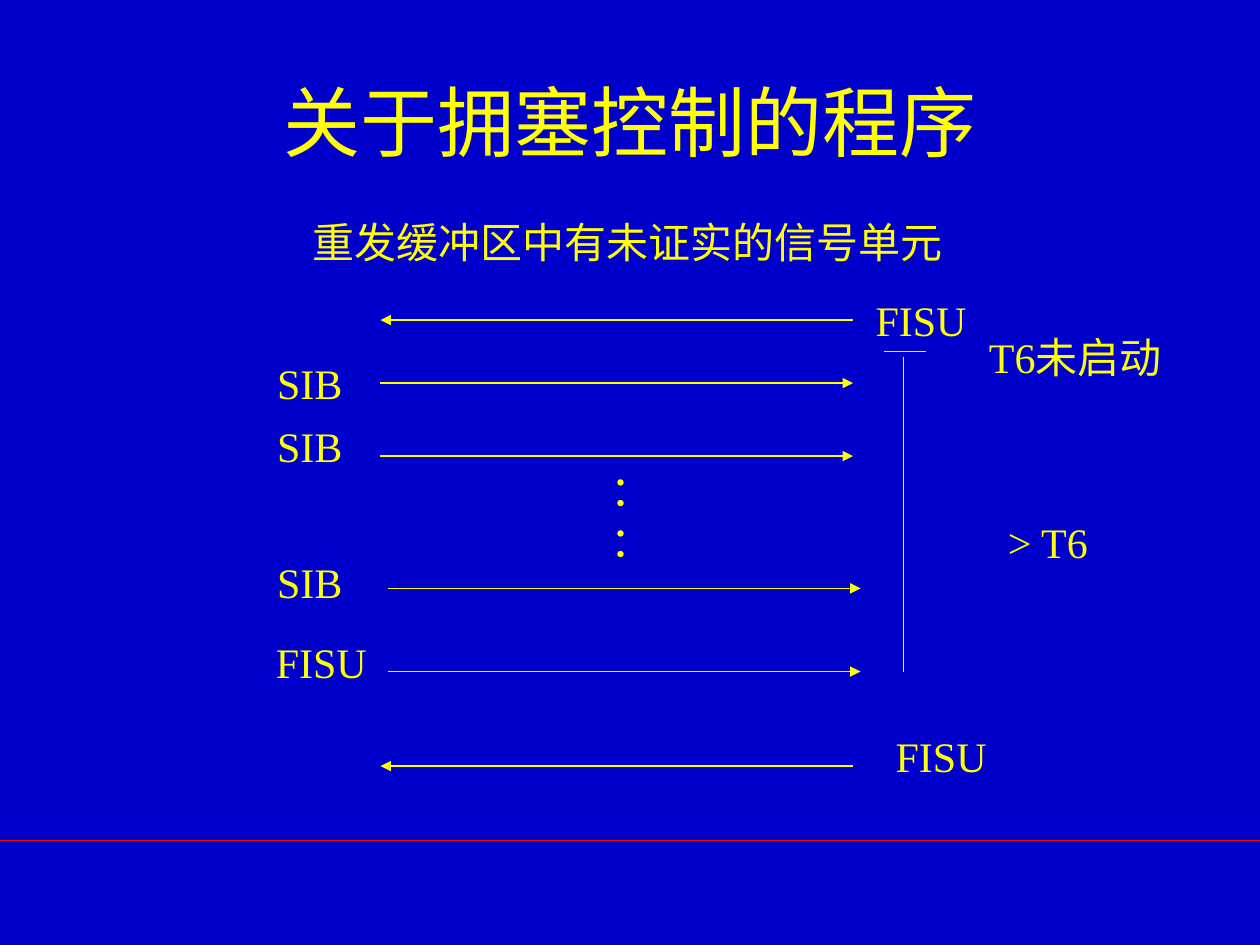
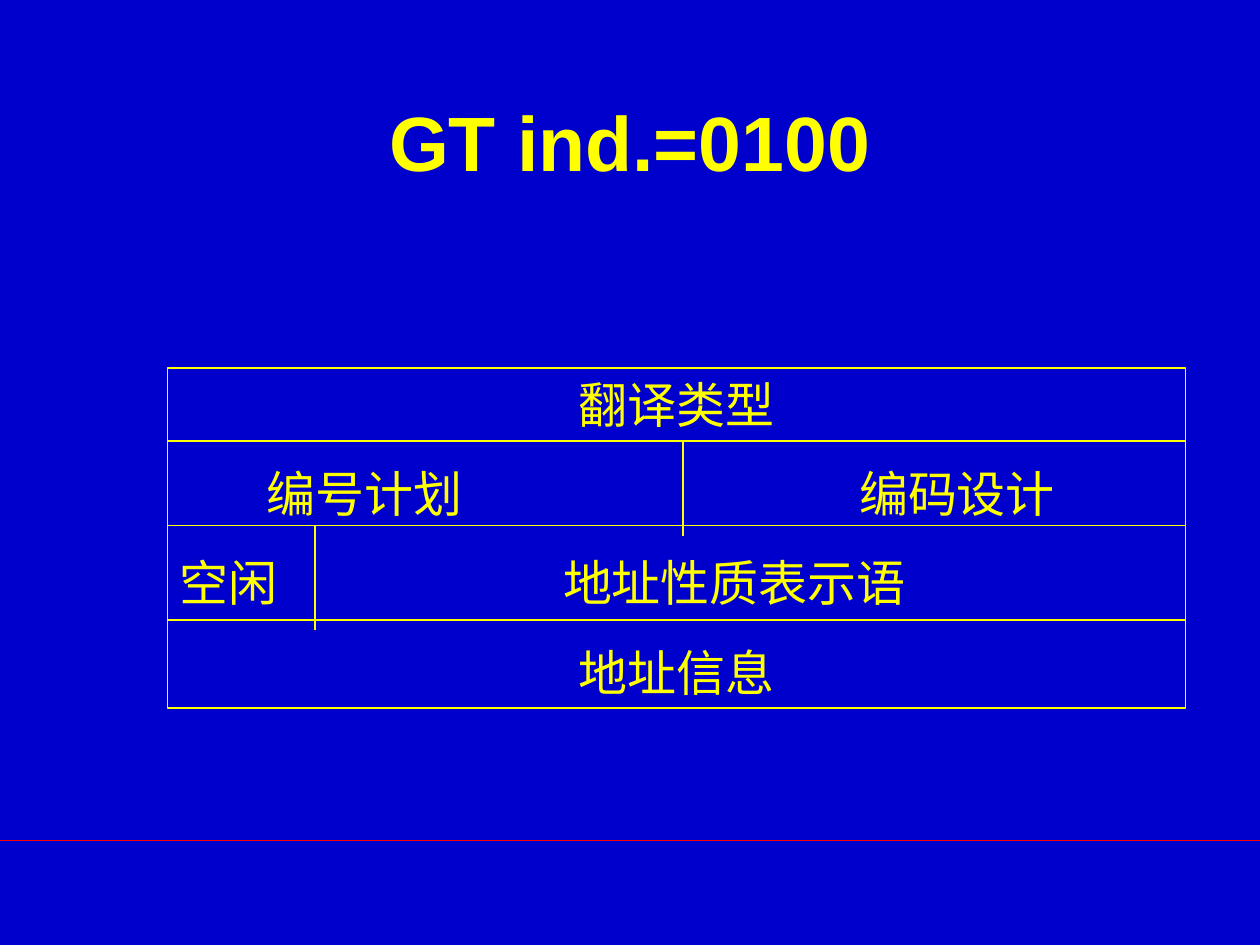
from lxml.etree import SubElement
from pptx import Presentation
from pptx.dml.color import RGBColor
from pptx.enum.shapes import MSO_CONNECTOR as CONNECTOR, MSO_SHAPE as SHAPE
from pptx.enum.text import MSO_ANCHOR as ANCHOR, MSO_AUTO_SIZE as AUTO_SIZE, PP_ALIGN as ALIGN
from pptx.oxml.ns import qn
from pptx.util import Inches, Pt

COLOURS = {"background": "0000CC", "ink": "FFFF00", "rule": "FF0000"}
TITLE_FONT, BODY_FONT = "Arial", "Times New Roman"
SLIDE_WIDTH, SLIDE_HEIGHT = 10, 7.5
RULE_TOP = 6.67
TITLE_ONLY = 5


def colour(name):
    return RGBColor.from_string(COLOURS[name])


def style_font(font, name, size, bold=False):
    font.name, font.size, font.bold = name, Pt(size), bold
    font.color.rgb = colour("ink")


def add_line(slide, start, end, width=0.75, ink="ink", arrow=False):
    points = [Inches(value) for value in (*start, *end)]
    line = slide.shapes.add_connector(CONNECTOR.STRAIGHT, *points)
    line.line.color.rgb = colour(ink)
    line.line.width = Pt(width)
    if arrow:
        SubElement(line.line._get_or_add_ln(), qn("a:tailEnd"), type="triangle")
    SubElement(line._element.spPr, qn("a:effectLst"))


def add_label(slide, text, left, top, width, height=0.5, wrap=False):
    box = slide.shapes.add_textbox(*map(Inches, (left, top, width, height)))
    frame = box.text_frame
    frame.word_wrap = wrap
    frame.auto_size = AUTO_SIZE.SHAPE_TO_FIT_TEXT
    frame.text = text
    for paragraph in frame.paragraphs:
        style_font(paragraph.font, BODY_FONT, 24)


def add_titled_slide(presentation, text, top, bold=False):
    slide = presentation.slides.add_slide(presentation.slide_layouts[TITLE_ONLY])
    add_line(slide, (0, RULE_TOP), (SLIDE_WIDTH, RULE_TOP), 1, "rule")
    title = slide.shapes.title
    title.left, title.top, title.width, title.height = map(Inches, (0.75, top, 8.5, 1.25))
    frame = title.text_frame
    frame.text = text
    frame.auto_size = AUTO_SIZE.NONE
    frame.vertical_anchor = ANCHOR.MIDDLE
    paragraph = frame.paragraphs[0]
    paragraph.alignment = ALIGN.CENTER
    style_font(paragraph.font, TITLE_FONT, 44, bold)
    return slide


def add_message_sequence(slide, left, top, width):
    """Draw the signal units exchanged between two ends, in time order."""
    label_widths = {"SIB": 0.72, "FISU": 0.92}
    # label, label left, label top, arrow left, arrow top, points right
    messages = [
        ("FISU", 3.83, 0, 0, 0.25, False),
        ("SIB", -0.92, 0.5, 0, 0.75, True),
        ("SIB", -0.92, 1, 0, 1.33, True),
        ("SIB", -0.92, 2.08, 0.06, 2.38, True),
        ("FISU", -0.93, 2.71, 0.06, 3.04, True),
        ("FISU", 3.99, 3.46, 0, 3.79, False),
    ]
    for label, label_left, label_top, arrow_left, arrow_top, points_right in messages:
        add_label(slide, label, left + label_left, top + label_top, label_widths[label])
        start = (left + arrow_left, top + arrow_top)
        end = (start[0] + width, start[1])
        if not points_right:
            start, end = end, start
        add_line(slide, start, end, arrow=True)
    add_label(slide, "：\n：", left + 1.73, top + 1.35, 0.53, 0.9)


def add_timer_span(slide, left, top, height):
    """Mark the time over which timer T6 is compared."""
    middle = left + 0.15
    add_line(slide, (left, top), (left + 0.33, top))
    add_line(slide, (middle, top + 0.04), (middle, top + height))
    add_label(slide, "T6未启动", left + 0.73, top - 0.21, 1.68, wrap=True)
    add_label(slide, "> T6", left + 0.88, top + 1.26, 0.84)


def add_congestion_slide(presentation):
    slide = add_titled_slide(presentation, "关于拥塞控制的程序", 0.33)
    add_label(slide, "重发缓冲区中有未证实的信号单元", 2.38, 1.67, 5.2)
    add_message_sequence(slide, 3.02, 2.29, 3.75)
    add_timer_span(slide, 7.02, 2.79, 2.54)


def add_tab_stops(paragraph, positions):
    tabs = SubElement(paragraph._p.get_or_add_pPr(), qn("a:tabLst"))
    for position in positions:
        SubElement(tabs, qn("a:tab"), pos=str(Inches(position)), algn="l")


def add_field_layout(slide, left, top, width, height):
    """Draw the frame, its field names and the dividers between them."""
    frame_shape = slide.shapes.add_shape(
        SHAPE.RECTANGLE, *map(Inches, (left, top, width, height)))
    frame_shape.shadow.inherit = False
    frame_shape.fill.background()
    frame_shape.line.color.rgb = colour("ink")
    frame_shape.line.width = Pt(1)
    frame = frame_shape.text_frame
    frame.word_wrap = True
    frame.vertical_anchor = ANCHOR.TOP
    frame.auto_size = AUTO_SIZE.SHAPE_TO_FIT_TEXT

    # text and tab stops; rows without stops are centred
    rows = [
        ("翻译类型", []),
        ("\t编号计划\t编码设计", [0.69, 5.39]),
        ("空闲\t地址性质表示语", [3.04]),
        ("地址信息", []),
    ]
    frame.text = "\n".join(text for text, _ in rows)
    for index, (paragraph, (_, stops)) in enumerate(zip(frame.paragraphs, rows)):
        paragraph.alignment = ALIGN.LEFT if stops else ALIGN.CENTER
        if index:
            paragraph.space_before = Pt(17.5)
        if stops:
            add_tab_stops(paragraph, stops)
        style_font(paragraph.font, BODY_FONT, 28)

    for offset in (0.58, 1.25, 2):
        add_line(slide, (left, top + offset), (left + width, top + offset), 1)
    for offset, start, end in ((1.17, 1.25, 2.08), (4.09, 0.58, 1.33)):
        add_line(slide, (left + offset, top + start), (left + offset, top + end), 1)


def add_global_title_slide(presentation):
    slide = add_titled_slide(presentation, "GT ind.=0100", 0.49, bold=True)
    add_field_layout(slide, 1.33, 2.92, 8.08, 2.7)


def main():
    presentation = Presentation()
    presentation.slide_width = Inches(SLIDE_WIDTH)
    presentation.slide_height = Inches(SLIDE_HEIGHT)
    background = presentation.slide_master.background.fill
    background.solid()
    background.fore_color.rgb = colour("background")
    add_congestion_slide(presentation)
    add_global_title_slide(presentation)
    presentation.save("out.pptx")


if __name__ == "__main__":
    main()
